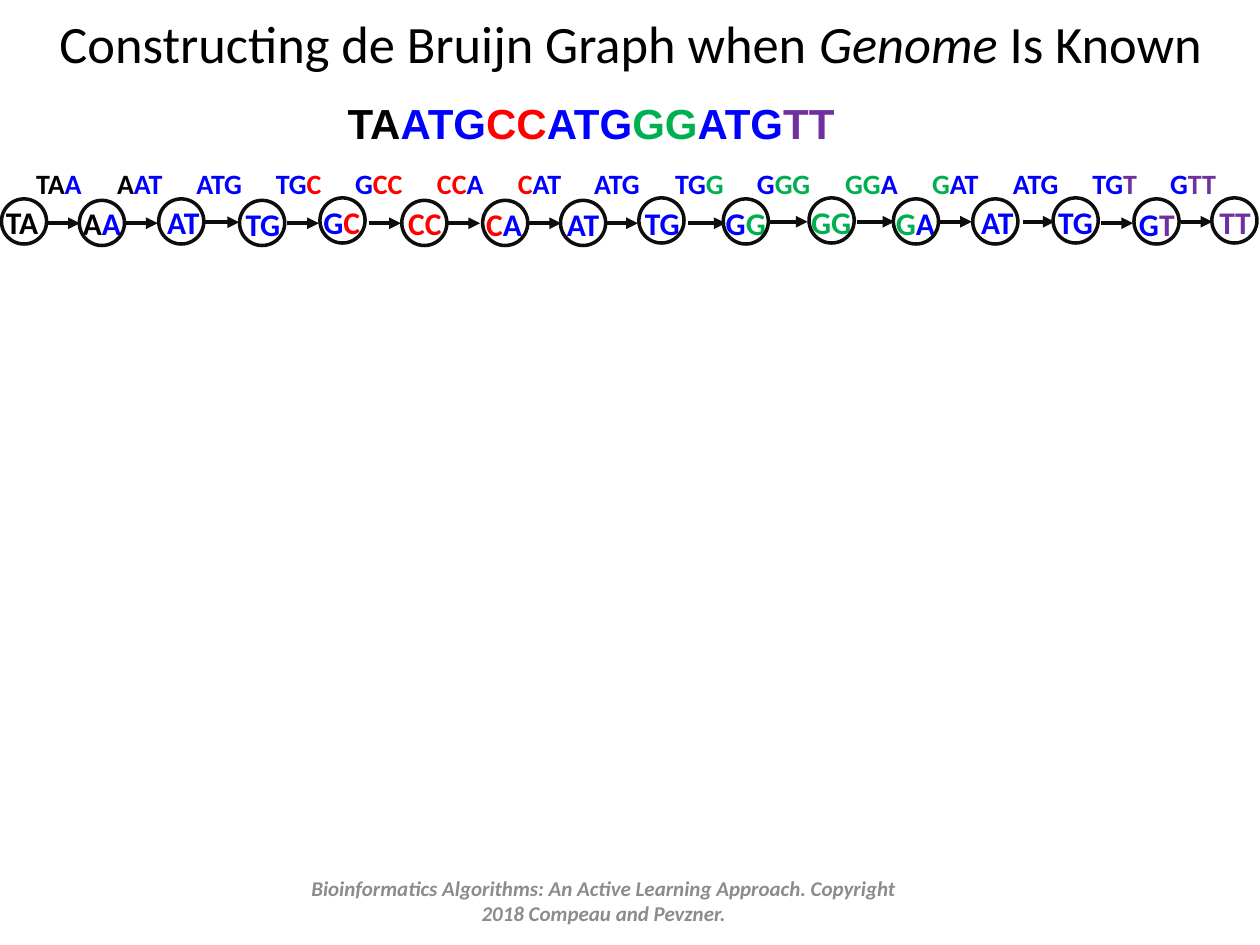
from lxml import etree
from pptx import Presentation
from pptx.dml.color import RGBColor
from pptx.enum.shapes import MSO_CONNECTOR, MSO_SHAPE
from pptx.enum.text import MSO_ANCHOR, MSO_AUTO_SIZE, PP_ALIGN
from pptx.oxml.ns import qn
from pptx.util import Cm, Pt

OVAL, STRAIGHT = MSO_SHAPE.OVAL, MSO_CONNECTOR.STRAIGHT
LEFT, CENTER = PP_ALIGN.LEFT, PP_ALIGN.CENTER
TOP, MIDDLE = MSO_ANCHOR.TOP, MSO_ANCHOR.MIDDLE
GROW, FIXED = MSO_AUTO_SIZE.SHAPE_TO_FIT_TEXT, MSO_AUTO_SIZE.NONE

BLACK = RGBColor(0x00, 0x00, 0x00)
INK = RGBColor(0x0D, 0x0D, 0x0D)
BLUE = RGBColor(0x00, 0x00, 0xFF)
RED = RGBColor(0xFF, 0x00, 0x00)
GREEN = RGBColor(0x00, 0xB0, 0x50)
PURPLE = RGBColor(0x70, 0x30, 0xA0)
GRAY = RGBColor(0x8C, 0x8C, 0x8C)

# Genome as coloured segments; every k-mer takes its colours from here
GENOME = [("TA", BLACK), ("ATG", BLUE), ("CC", RED), ("ATG", BLUE),
          ("GG", GREEN), ("ATG", BLUE), ("TT", PURPLE)]
LETTERS = [(letter, color) for segment, color in GENOME for letter in segment]

# Node: circle left, circle top, label left, label top, label width (cm)
NODES = [
    (0.03, 4.01, -0.13, 3.96, 1.22), (1.6, 4.04, 1.42, 3.99, 1.3),
    (3.2, 4.01, 3.12, 3.96, 1.22), (4.83, 4.04, 4.7, 4.01, 1.24),
    (6.45, 3.99, 6.27, 3.96, 1.27), (8.1, 4.04, 7.98, 3.99, 1.19),
    (9.73, 4.04, 9.55, 4.01, 1.24), (11.3, 4.04, 11.18, 4.01, 1.22),
    (12.88, 3.99, 12.75, 3.99, 1.24), (14.58, 4.01, 14.38, 3.99, 1.32),
    (16.31, 3.99, 16.1, 3.96, 1.32), (18.01, 4.01, 17.81, 3.99, 1.32),
    (19.61, 4.01, 19.53, 3.96, 1.22), (21.23, 3.99, 21.08, 3.96, 1.24),
    (22.86, 4.01, 22.71, 4.01, 1.24), (24.43, 3.99, 24.33, 3.96, 1.14),
]
# Edge: label left, label width, arrow start, arrow length, arrow height (cm)
EDGES = [
    (0.48, 1.5, 0.97, 0.64, 4.5), (2.11, 1.5, 2.54, 0.64, 4.5),
    (3.71, 1.5, 4.11, 0.71, 4.48), (5.31, 1.47, 5.79, 0.64, 4.5),
    (6.91, 1.47, 7.44, 0.64, 4.5), (8.56, 1.47, 9.04, 0.64, 4.5),
    (10.19, 1.45, 10.67, 0.64, 4.5), (11.73, 1.5, 12.22, 0.64, 4.5),
    (13.36, 1.52, 13.87, 0.76, 4.5), (15.01, 1.6, 15.52, 0.76, 4.47),
    (16.79, 1.6, 17.27, 0.76, 4.47), (18.54, 1.5, 18.95, 0.64, 4.47),
    (20.17, 1.5, 20.62, 0.64, 4.47), (21.77, 1.45, 22.2, 0.64, 4.5),
    (23.34, 1.45, 23.8, 0.64, 4.47),
]


def add_text(paragraph, text, *, size, color, font="Calibri", bold=False, italic=False):
    run = paragraph.add_run()
    run.text = text
    run.font.name = font
    run.font.size = Pt(size)
    run.font.bold = bold
    run.font.italic = italic
    run.font.color.rgb = color


def kmer(start, k):
    """Return the k-mer at start as merged (text, colour) pieces."""
    pieces = []
    for letter, color in LETTERS[start:start + k]:
        if pieces and pieces[-1][1] == color:
            pieces[-1] = (pieces[-1][0] + letter, color)
        else:
            pieces.append((letter, color))
    return pieces


class GraphSlide:
    line_color = INK
    circle_size = 0.91

    def __init__(self, slide):
        self.slide = slide

    def box(self, left, top, width, height, align=LEFT, anchor=TOP, wrap=True, fit=FIXED):
        frame = self.slide.shapes.add_textbox(
            Cm(left), Cm(top), Cm(width), Cm(height)).text_frame
        frame.word_wrap = wrap
        frame.auto_size = fit
        frame.vertical_anchor = anchor
        paragraph = frame.paragraphs[0]
        paragraph.alignment = align
        return paragraph

    def sequence(self, pieces, left, top, width, height, size, font="Calibri", wrap=False):
        paragraph = self.box(left, top, width, height, wrap=wrap, fit=GROW)
        for text, color in pieces:
            add_text(paragraph, text, size=size, color=color, font=font, bold=True)

    def circle(self, left, top):
        circle = self.slide.shapes.add_shape(
            OVAL, Cm(left), Cm(top), Cm(self.circle_size), Cm(self.circle_size))
        circle.shadow.inherit = False
        circle.fill.background()
        circle.line.color.rgb = self.line_color
        circle.line.width = Pt(2)

    def arrow(self, start, length, height):
        arrow = self.slide.shapes.add_connector(
            STRAIGHT, Cm(start), Cm(height), Cm(start + length), Cm(height))
        arrow.line.color.rgb = self.line_color
        arrow.line.width = Pt(2.25)
        etree.SubElement(arrow.line._get_or_add_ln(), qn("a:tailEnd"), type="triangle")
        etree.SubElement(arrow._element.spPr, qn("a:effectLst"))


def main():
    deck = Presentation()
    deck.slide_width, deck.slide_height = Cm(25.4), Cm(19.05)
    graph = GraphSlide(deck.slides.add_slide(deck.slide_layouts[6]))

    # Title
    title = graph.box(0.03, -0.2, 25.37, 2.11, CENTER, MIDDLE)
    for text, italic in (("Constructing de Bruijn Graph when ", False),
                         ("Genome", True), (" Is Known", False)):
        add_text(title, text, size=30, color=BLACK, italic=italic)

    # Genome
    graph.sequence(GENOME, 6.76, 1.85, 11.3, 1.27, 24, font="Arial", wrap=True)

    # Edges with 3-mers
    for start, (left, width, *arrow) in enumerate(EDGES):
        graph.sequence(kmer(start, 3), left, 3.23, width, 0.94, 16)
        graph.arrow(*arrow)

    # Nodes with 2-mers
    for start, (circle_left, circle_top, left, top, width) in enumerate(NODES):
        graph.sequence(kmer(start, 2), left, top, width, 1.02, 18)
        graph.circle(circle_left, circle_top)

    # Footer
    footer = graph.box(5.72, 17.65, 12.9, 1.02, CENTER, MIDDLE)
    add_text(footer, "Bioinformatics Algorithms: An Active Learning Approach. "
             "Copyright 2018 Compeau and Pevzner.",
             size=12, color=GRAY, bold=True, italic=True)

    deck.save("out.pptx")


if __name__ == "__main__":
    main()
